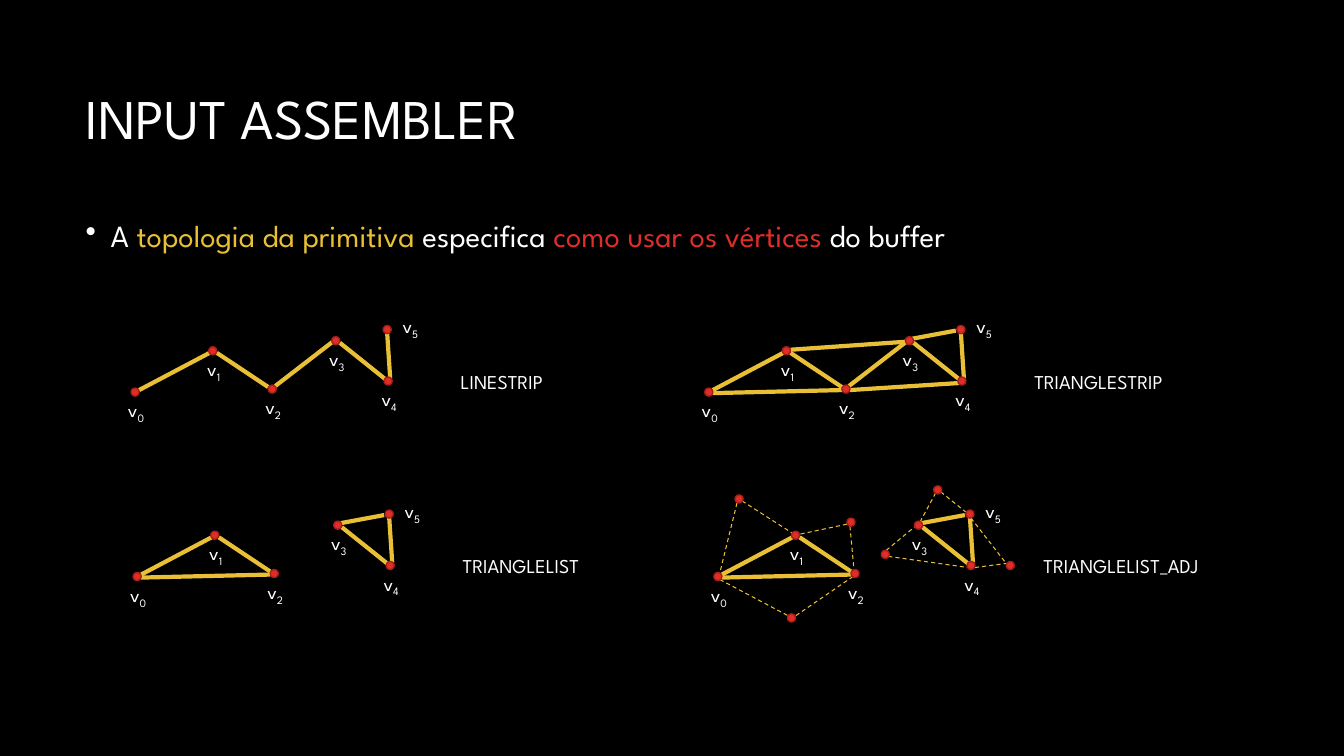
from pptx import Presentation
from pptx.dml.color import RGBColor
from pptx.enum.dml import MSO_LINE
from pptx.enum.shapes import MSO_CONNECTOR, MSO_SHAPE
from pptx.enum.text import MSO_ANCHOR, MSO_AUTO_SIZE, PP_ALIGN
from pptx.oxml.ns import qn
from pptx.util import Inches, Pt
from lxml.etree import SubElement

WHITE, GOLD, RED, RIM = "FFFFFF", "E9BF35", "DF2E28", "AC1E1A"
color = RGBColor.from_string


def write(shapes, at, size, *texts):
    """Add a white text box with one run per text."""
    box = shapes.add_textbox(*map(Inches, at))
    para = box.text_frame.paragraphs[0]
    para.font.name = "League Spartan"
    para.font.size = Pt(size)
    para.font.color.rgb = color(WHITE)
    for text in texts:
        para.add_run().text = text
    return box.text_frame, para


def link(shapes, ends, width):
    line = shapes.add_connector(MSO_CONNECTOR.STRAIGHT, *map(Inches, ends))
    line.line.color.rgb = color(GOLD)
    line.line.width = Pt(width)
    SubElement(line._element.spPr, qn("a:effectLst"))
    return line


deck = Presentation()
deck.slide_width, deck.slide_height = Inches(13.33), Inches(7.5)
slide = deck.slides.add_slide(deck.slide_layouts[6])
slide.background.fill.solid()
slide.background.fill.fore_color.rgb = color("000000")

# Heading and statement
frame, para = write(slide.shapes, (0.75, 0.5, 11.83, 1.41), 40, "INPUT ASSEMBLER")
frame.word_wrap = True
frame.vertical_anchor = MSO_ANCHOR.MIDDLE
para.line_spacing = 0.9

frame, para = write(slide.shapes, (0.75, 2.06, 11.83, 4.69), 22,
                    "A ", "topologia da primitiva ", "especifica ",
                    "como usar os vértices", " do buffer")
frame.word_wrap = True
para.line_spacing = 1.1
para.space_before = Pt(10)
for run, tone in zip(para.runs, (WHITE, GOLD, WHITE, RED, WHITE)):
    run.font.color.rgb = color(tone)
props = para._p.get_or_add_pPr()
props.set("marL", str(Inches(0.25)))
props.set("indent", str(Inches(-0.25)))
bullet = SubElement(props, qn("a:buChar"), char="•")
props.find(qn("a:defRPr")).addprevious(bullet)

# Vertex centres and edges of the first panel; the others are shifted
DOT = 0.08
verts = [(1.34, 3.89), (2.11, 3.48), (2.7, 3.86),
         (3.33, 3.38), (3.85, 3.78), (3.84, 3.27)]
edges = {
    "01": (2.08, 3.5, 1.38, 3.87),
    "02": (1.38, 3.9, 2.66, 3.87),
    "12": (2.66, 3.84, 2.15, 3.5),
    "13": (3.3, 3.39, 2.15, 3.47),
    "23": (3.3, 3.39, 2.73, 3.83),
    "24": (3.82, 3.8, 2.74, 3.87),
    "34": (3.82, 3.76, 3.37, 3.4),
    "35": (3.36, 3.36, 3.79, 3.28),
    "45": (3.84, 3.3, 3.87, 3.75),
}
# Adjacent vertices and their dashed edges, in slide coordinates
near = [(8.44, 5.18), (7.33, 4.95), (7.85, 6.13),
        (9.3, 4.86), (8.78, 5.5), (10.02, 5.61)]
dashes = [
    (7.36, 4.97, 7.86, 5.29), (7.31, 4.99, 7.14, 5.68),
    (8.4, 5.2, 7.93, 5.3), (8.43, 5.22, 8.47, 5.65),
    (7.14, 5.75, 7.82, 6.11), (8.46, 5.72, 7.89, 6.11),
    (9.28, 4.89, 9.13, 5.17), (9.33, 4.88, 9.58, 5.08),
    (8.79, 5.46, 9.08, 5.22), (8.81, 5.52, 9.6, 5.63),
    (9.67, 5.63, 9.98, 5.59), (9.63, 5.14, 9.98, 5.59),
]
# Name, name width, shift right, shift down, edges, adjacent dots, dashed edges
panels = [
    ("LINESTRIP", 1.05, 0, 0, "01 12 23 34 45", [], []),
    ("TRIANGLELIST", 1.43, 0.02, 1.83, "01 02 12 34 35 45", [], []),
    ("TRIANGLESTRIP", 1.57, 5.69, 0, "01 02 12 13 23 24 34 35 45", [], []),
    ("TRIANGLELIST_ADJ", 1.91, 5.78, 1.83, "01 02 12 34 35 45", near, dashes),
]

for name, width, dx, dy, pairs, extra, dashed in panels:
    group = slide.shapes.add_group_shape().shapes
    dots = [(x + dx, y + dy) for x, y in verts]

    frame, para = write(group, (4.47 + dx, 3.62 + dy, width, 0.34), 14, name)
    frame.word_wrap = False
    frame.auto_size = MSO_AUTO_SIZE.SHAPE_TO_FIT_TEXT

    for i, (x, y) in enumerate(dots):
        left, top = (x + 0.04, y - 0.2) if i == 5 else (x - 0.18, y + 0.01)
        frame, para = write(group, (left, top, 0.38, 0.34), 14, "v", str(i))
        frame.word_wrap = False
        frame.auto_size = MSO_AUTO_SIZE.SHAPE_TO_FIT_TEXT
        para.alignment = PP_ALIGN.CENTER
        para.runs[1]._r.get_or_add_rPr().set("baseline", "-25000")

    for pair in pairs.split():
        x1, y1, x2, y2 = edges[pair]
        link(group, (x1 + dx, y1 + dy, x2 + dx, y2 + dy), 3)
    for ends in dashed:
        link(group, ends, 0.75).line.dash_style = MSO_LINE.DASH

    for x, y in dots + extra:
        dot = group.add_shape(MSO_SHAPE.OVAL, Inches(x - DOT / 2),
                              Inches(y - DOT / 2), Inches(DOT), Inches(DOT))
        dot.shadow.inherit = False
        dot.fill.solid()
        dot.fill.fore_color.rgb = color(RED)
        dot.line.color.rgb = color(RIM)
        dot.line.width = Pt(1)

deck.save("out.pptx")
